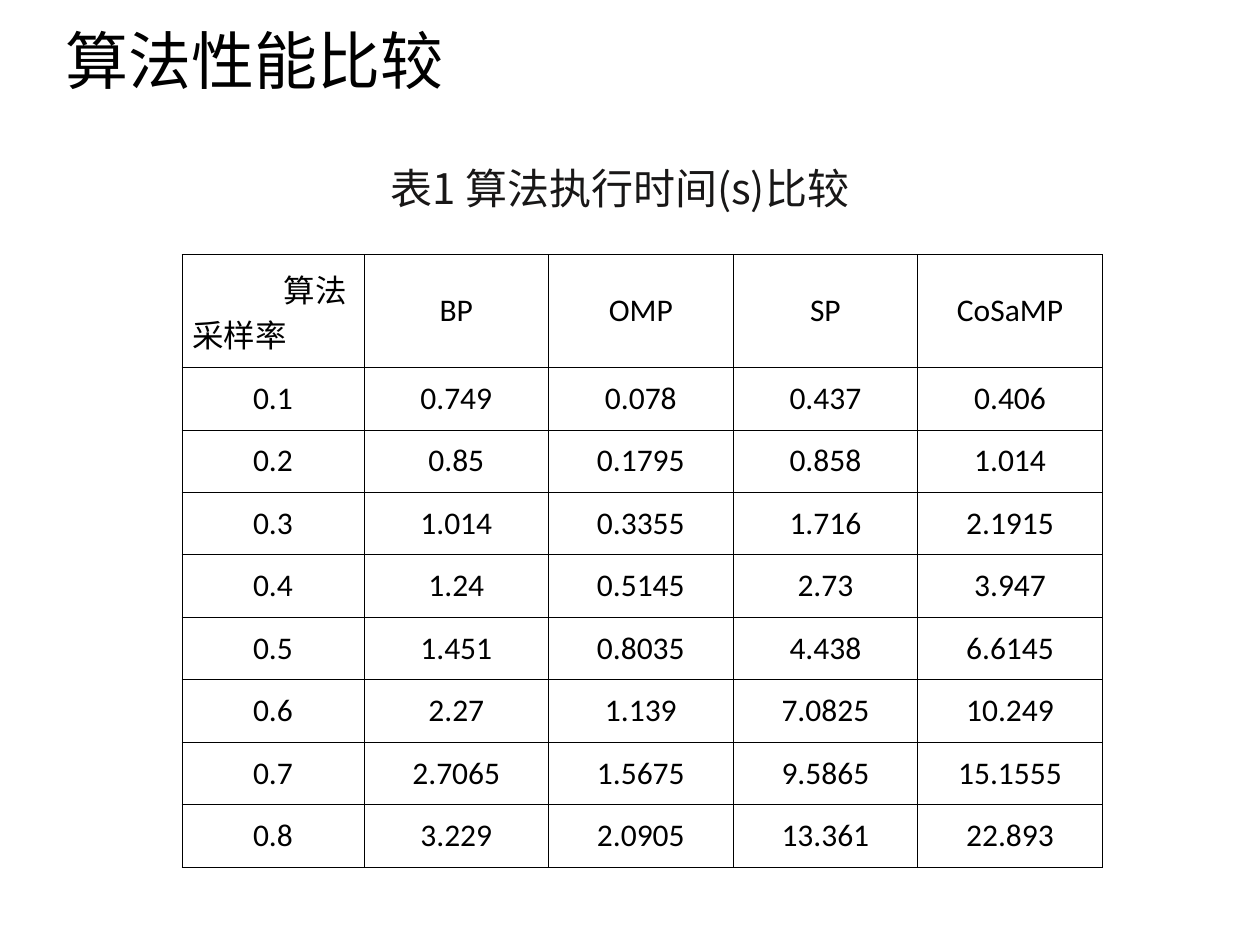
from dataclasses import dataclass

from lxml import etree
from pptx import Presentation
from pptx.dml.color import RGBColor
from pptx.enum.text import MSO_ANCHOR, PP_ALIGN
from pptx.oxml.ns import qn
from pptx.util import Pt

MIDDLE = MSO_ANCHOR.MIDDLE
LEFT, CENTER = PP_ALIGN.LEFT, PP_ALIGN.CENTER
TITLE_ONLY = 5


@dataclass(frozen=True)
class Theme:
    ink: RGBColor = RGBColor(0x00, 0x00, 0x00)
    caption_ink: RGBColor = RGBColor(0x18, 0x17, 0x17)
    latin_font: str = "Calibri"
    chinese_font: str = "Noto Sans CJK SC"
    title_size: float = 36
    caption_size: float = 24
    table_size: float = 18
    border_width: float = 0.45


THEME = Theme()

ALGORITHMS = ["BP", "OMP", "SP", "CoSaMP"]
SECONDS_BY_RATE = {
    "0.1": ["0.749", "0.078", "0.437", "0.406"],
    "0.2": ["0.85", "0.1795", "0.858", "1.014"],
    "0.3": ["1.014", "0.3355", "1.716", "2.1915"],
    "0.4": ["1.24", "0.5145", "2.73", "3.947"],
    "0.5": ["1.451", "0.8035", "4.438", "6.6145"],
    "0.6": ["2.27", "1.139", "7.0825", "10.249"],
    "0.7": ["2.7065", "1.5675", "9.5865", "15.1555"],
    "0.8": ["3.229", "2.0905", "13.361", "22.893"],
}
CORNER_LABEL = "算法\v采样率"  # \v is a line break
CORNER_INDENT = 52.5
RATE_WIDTH, ALGORITHM_WIDTH = 104, 105.5
HEADER_HEIGHT, RATE_HEIGHT = 64.5, 35.7


def apply_format(target, values):
    for attribute, value in values.items():
        setattr(target, attribute, value)


def write_text(frame, text, size, color, latin_font, align):
    paragraph = frame.paragraphs[0]
    paragraph.text = text
    paragraph.alignment = align
    for run in paragraph.runs:
        apply_format(run.font, {"size": Pt(size), "name": latin_font})
        run.font.color.rgb = color
        east_asian = etree.SubElement(run.font._element, qn("a:ea"))
        east_asian.set("typeface", THEME.chinese_font)


def format_heading(shape, box, wrap):
    left, top, width, height = map(Pt, box)
    apply_format(shape, {"left": left, "top": top, "width": width, "height": height})
    apply_format(shape.text_frame, {
        "margin_left": Pt(7.2), "margin_right": Pt(7.2),
        "margin_top": Pt(3.6), "margin_bottom": Pt(3.6),
        "vertical_anchor": MIDDLE, "word_wrap": wrap,
    })


def add_title(slide, text):
    title = slide.shapes.title
    format_heading(title, (30, 8.5, 230.5, 50.5), wrap=False)
    write_text(title.text_frame, text, THEME.title_size, THEME.ink,
               THEME.latin_font, LEFT)


def add_caption(slide, text):
    caption = slide.shapes.add_textbox(0, 0, 0, 0)
    format_heading(caption, (216, 89.5, 380, 36), wrap=True)
    write_text(caption.text_frame, text, THEME.caption_size, THEME.caption_ink,
               THEME.chinese_font, LEFT)


def draw_borders(cell):
    properties = cell._tc.get_or_add_tcPr()
    for position, side in enumerate(("a:lnL", "a:lnR", "a:lnT", "a:lnB")):
        line = etree.Element(qn(side), w=str(Pt(THEME.border_width)))
        fill = etree.SubElement(line, qn("a:solidFill"))
        etree.SubElement(fill, qn("a:srgbClr"), val=str(THEME.ink))
        properties.insert(position, line)


def fill_cell(cell, text, align=CENTER):
    apply_format(cell, {
        "margin_left": Pt(5.76), "margin_right": Pt(5.76),
        "margin_top": Pt(3.6), "margin_bottom": Pt(3.6),
        "vertical_anchor": MIDDLE,
    })
    cell.fill.background()
    draw_borders(cell)
    write_text(cell.text_frame, text, THEME.table_size, THEME.ink,
               THEME.latin_font, align)


def add_timing_table(slide, left, top):
    rows = [[CORNER_LABEL, *ALGORITHMS]]
    rows += [[rate, *seconds] for rate, seconds in SECONDS_BY_RATE.items()]
    widths = [RATE_WIDTH] + [ALGORITHM_WIDTH] * len(ALGORITHMS)
    heights = [HEADER_HEIGHT] + [RATE_HEIGHT] * len(SECONDS_BY_RATE)
    table = slide.shapes.add_table(len(rows), len(widths), Pt(left), Pt(top),
                                   Pt(sum(widths)), Pt(sum(heights))).table
    apply_format(table, {"first_row": False, "horz_banding": False})
    for column, width in zip(table.columns, widths):
        column.width = Pt(width)
    for row, height, texts in zip(table.rows, heights, rows):
        row.height = Pt(height)
        for cell, text in zip(row.cells, texts):
            fill_cell(cell, text, LEFT if text == CORNER_LABEL else CENTER)
    # Only the first line of the corner label moves toward the column heads.
    corner = table.cell(0, 0).text_frame.paragraphs[0]._p.get_or_add_pPr()
    corner.set("indent", str(Pt(CORNER_INDENT)))


def main():
    presentation = Presentation()
    apply_format(presentation, {"slide_width": Pt(720), "slide_height": Pt(540)})
    slide = presentation.slides.add_slide(presentation.slide_layouts[TITLE_ONLY])
    add_title(slide, "算法性能比较")
    add_timing_table(slide, 104, 145.5)
    add_caption(slide, "表1 算法执行时间(s)比较")
    presentation.save("out.pptx")


if __name__ == "__main__":
    main()
